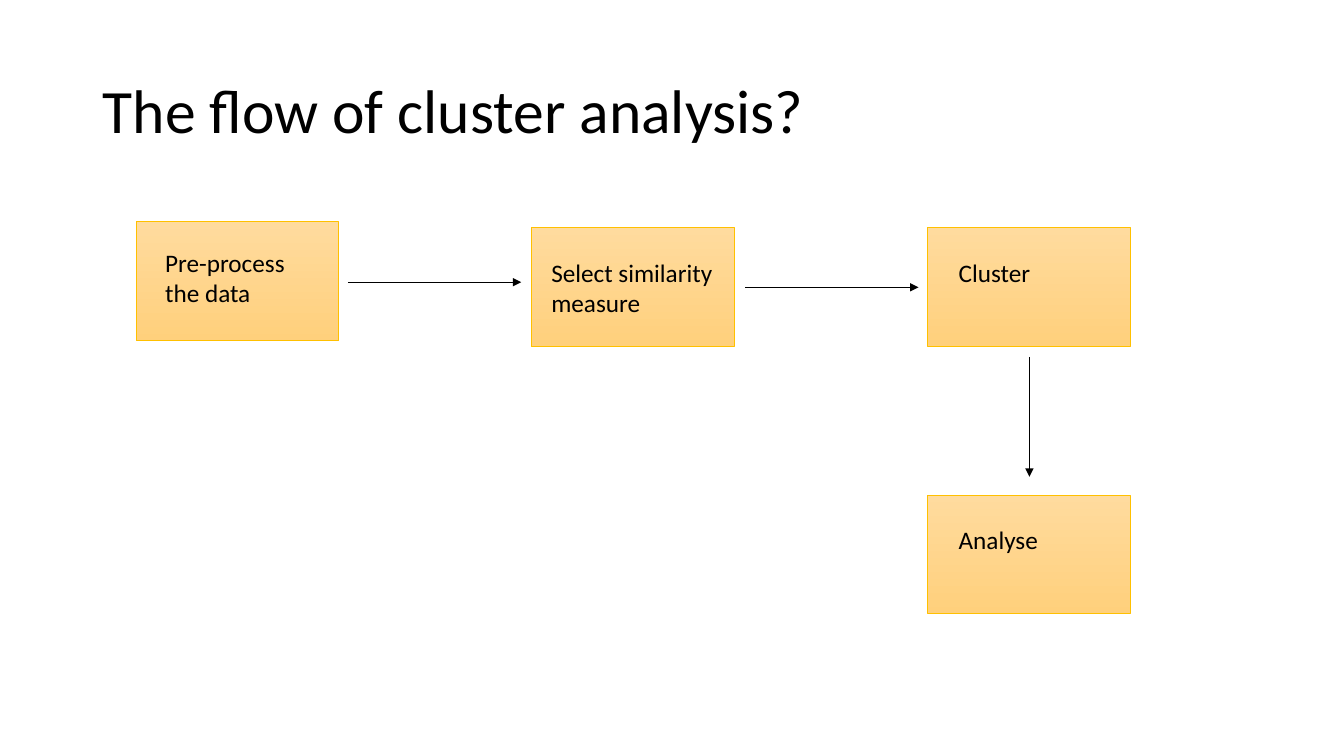
from pptx import Presentation
from pptx.dml.color import RGBColor
from pptx.enum.shapes import MSO_CONNECTOR, MSO_SHAPE
from pptx.enum.text import MSO_ANCHOR, MSO_AUTO_SIZE, PP_ALIGN
from pptx.oxml.ns import qn
from pptx.util import Inches, Pt
from lxml.etree import SubElement

BOX_W, BOX_H = 2.01, 1.18
# box left, box top, label left, label top, label width, label height, label
STEPS = [
    (1.35, 2.2, 1.54, 2.4, 1.64, 0.71, "Pre-process the data"),
    (5.27, 2.26, 5.37, 2.5, 1.83, 0.71, "Select similarity measure"),
    (9.2, 2.26, 9.41, 2.5, 1.64, 0.4, "Cluster"),
    (9.2, 4.91, 9.41, 5.15, 1.64, 0.4, "Analyse"),
]
ARROWS = [
    (3.45, 2.8, 5.17, 2.8),
    (7.39, 2.85, 9.11, 2.85),
    (10.21, 3.54, 10.21, 4.73),
]


def color(code):
    return RGBColor.from_string(code)


def inches(*nums):
    return [Inches(num) for num in nums]


def write(frame, text, size=18, font="Calibri", fill="000000",
          anchor=MSO_ANCHOR.TOP, space=1.0):
    frame.word_wrap = True
    frame.vertical_anchor = anchor
    para = frame.paragraphs[0]
    para.alignment = PP_ALIGN.LEFT
    para.line_spacing = space
    run = para.add_run()
    run.text = text
    run.font.size = Pt(size)
    run.font.name = font
    run.font.color.rgb = color(fill)


def add_title(slide, text):
    title = slide.shapes.title
    title.left, title.top, title.width, title.height = inches(
        0.92, 0.4, 11.5, 1.45)
    write(title.text_frame, text, size=44, anchor=MSO_ANCHOR.MIDDLE, space=0.9)


def add_box(slide, left, top):
    box = slide.shapes.add_shape(
        MSO_SHAPE.RECTANGLE, *inches(left, top, BOX_W, BOX_H))
    box.shadow.inherit = False
    box.fill.gradient()
    box.fill.gradient_angle = 270
    for stop, code in zip(box.fill.gradient_stops, ("FFDB9E", "FFD07C")):
        stop.color.rgb = color(code)
    box.line.color.rgb = color("FFC000")
    box.line.width = Pt(0.5)


def add_arrow(slide, *ends):
    arrow = slide.shapes.add_connector(MSO_CONNECTOR.STRAIGHT, *inches(*ends))
    arrow.line.color.rgb = color("000000")
    arrow.line.width = Pt(0.5)
    SubElement(arrow.line._get_or_add_ln(), qn("a:tailEnd"), type="triangle")
    SubElement(arrow._element.spPr, qn("a:effectLst"))


def add_label(slide, text, *place):
    frame = slide.shapes.add_textbox(*inches(*place)).text_frame
    write(frame, text)
    frame.auto_size = MSO_AUTO_SIZE.SHAPE_TO_FIT_TEXT


def main():
    deck = Presentation()
    deck.slide_width, deck.slide_height = inches(13.33, 7.5)
    slide = deck.slides.add_slide(deck.slide_layouts[5])
    add_title(slide, "The flow of cluster analysis?")
    for left, top, *_ in STEPS:
        add_box(slide, left, top)
    for ends in ARROWS:
        add_arrow(slide, *ends)
    for _, _, *place, text in STEPS:
        add_label(slide, text, *place)
    deck.save("out.pptx")


if __name__ == "__main__":
    main()
